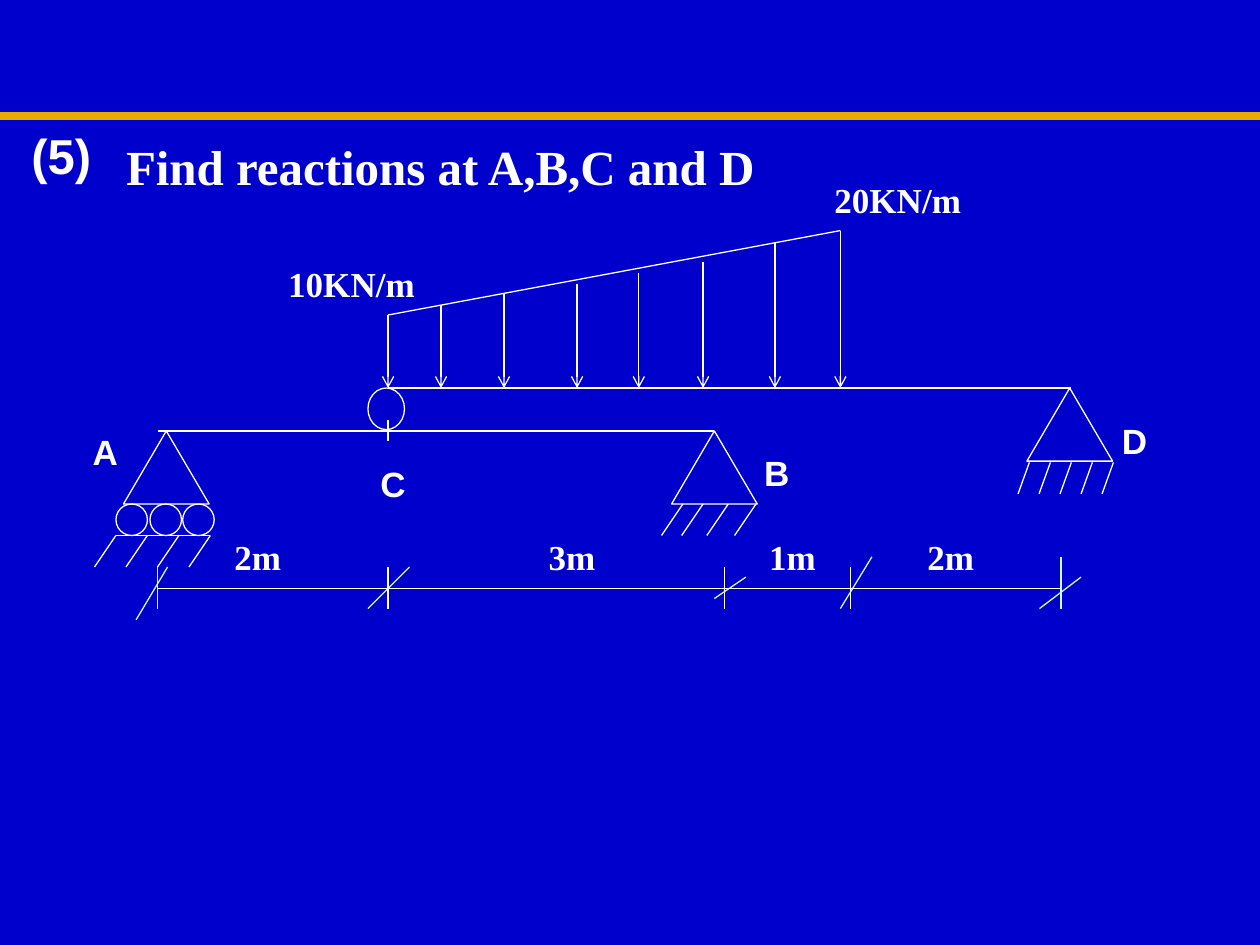
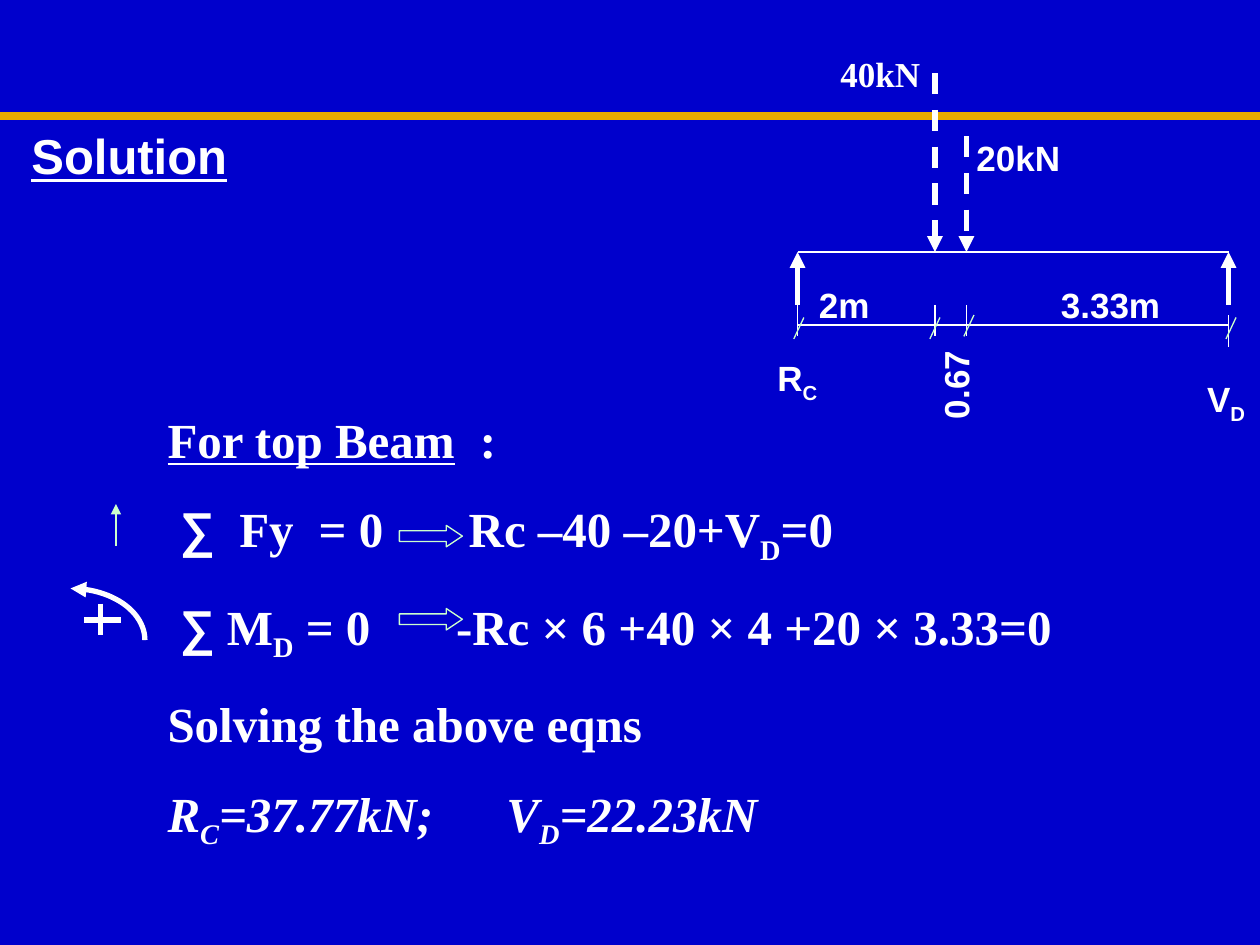
"""Build two statics slides: a loaded two-beam structure and the solution for its top beam."""
from math import cos, pi, sin

from lxml.etree import SubElement
from pptx import Presentation
from pptx.dml.color import RGBColor
from pptx.enum.dml import MSO_LINE_DASH_STYLE as Dash
from pptx.enum.shapes import MSO_CONNECTOR, MSO_SHAPE as Shape
from pptx.enum.text import PP_ALIGN as Align
from pptx.oxml.ns import qn
from pptx.util import Inches, Pt

BLUE = RGBColor(0x00, 0x00, 0xCC)
GOLD = RGBColor(0xE8, 0xAB, 0x00)
WHITE = RGBColor(0xFF, 0xFF, 0xFF)
MINT = RGBColor(0xCC, 0xFF, 0xCC)
SANS, SERIF = "Arial", "Times New Roman"
HEADING, LABEL = 28, 20
THIN, THICK = 0.75, 3

PROBLEM_NUMBER = "(5)"
PROBLEM = "Find reactions at A,B,C and D"
LOAD_LABELS = [("10KN/m", 2.08, 2.08, 1.42), ("20KN/m", 6.5, 1.42, 1.25)]
SPANS = [("2m", 1.42, 1.25), ("3m", 3.83, 1.42), ("1m", 5.83, 0.92), ("2m", 6.92, 1.25)]
SUPPORT_LABELS = [("A", 0.5, 3.42), ("B", 5.83, 3.58), ("C", 2.83, 3.67), ("D", 8.67, 3.33)]
BEAMS = [(1.25, 3.42, 5.67, 3.42), (3.08, 3.08, 8.5, 3.08)]
SUPPORTS = [(0.98, 3.42), (5.33, 3.42), (8.15, 3.08)]
LOAD_TOPS = [(3.08, 2.5), (3.5, 2.42), (4, 2.33), (4.58, 2.25),
             (5.07, 2.17), (5.58, 2.08), (6.15, 1.92), (6.67, 1.83)]
ROLLERS = [0.92, 1.19, 1.45]
HATCHINGS = [
    ([0.92 + 0.25 * i for i in range(4)], 4.25, 0.17),
    ([5.42, 5.58, 5.78, 6], 4, 0.17),
    ([8.17 + i / 6 for i in range(5)], 3.67, 0.09),
]
SPAN_LINE = 4.67
SPAN_ENDS = [(1.25, 4.5, MINT), (3.08, 4.5, WHITE), (5.75, 4.5, WHITE),
             (6.75, 4.5, WHITE), (8.42, 4.42, MINT)]
SPAN_SLASHES = [(1.33, 4.5, 1.08, 4.92), (3.25, 4.5, 2.92, 4.83), (5.92, 4.58, 5.67, 4.75),
                (6.92, 4.42, 6.67, 4.83), (8.58, 4.58, 8.25, 4.83)]

SOLUTION = [("Solution", "underline")]
WORKING = [
    ([("For top Beam", "underline"), ("\t:", "")], [2.48]),
    ([(" ", ""), ("∑", "sans"), ("\tFy\t= 0\tRc –40 –20+V", ""), ("D", "sub"), ("=0", "")],
     [0.57, 1.2, 2.39]),
    ([(" ", ""), ("∑", "sans"), (" M", ""), ("D", "sub"),
      (" = 0\t-Rc × 6 +40 × 4 +20 × 3.33=0", "")], [2.29]),
    ([("Solving the above eqns", "")], []),
    ([("R", "italic"), ("C", "italic sub"), ("=37.77kN;\tV", "italic"),
      ("D", "italic sub"), ("=22.23kN", "italic")], [2.69]),
]
FREE_BODY_LABELS = [
    ([("40kN", "")], 6.67, 0.42, 0.67, SERIF),
    ([("20kN", "")], 7.75, 1.08, 0.67, SANS),
    ([("2m", "")], 6.5, 2.25, 0.83, SANS),
    ([("3.33m", "")], 8.42, 2.25, 0.83, SANS),
    ([("R", ""), ("C", "sub")], 6.17, 2.83, 0.5, SANS),
    ([("V", ""), ("D", "sub")], 9.58, 3, 0.42, SANS),
]
TOP_BEAM, TOP_SPAN_LINE = 2, 2.58
LEFT_END, RIGHT_END = 6.33, 9.75
POINT_LOADS = [(7.42, 0.58), (7.67, 1.08)]
TOP_SPAN_ENDS = [(6.33, 2.42), (7.42, 2.42), (7.67, 2.42), (9.75, 2.5)]
TOP_SPAN_SLASHES = [(6.38, 2.52), (7.46, 2.52), (7.73, 2.5), (9.81, 2.52)]
IMPLIES = [4.17, 4.83]
MOMENT_CENTRE, MOMENT_RADII = (0.56, 5.08), (0.59, 0.41)
PLUS = [(0.8, 4.79, 0.8, 5.04), (0.67, 4.92, 0.96, 4.92)]


def add_arrowhead(outlined, end, kind):
    SubElement(outlined._element.spPr.find(qn("a:ln")), qn(f"a:{end}"), type=kind)


def add_line(slide, x1, y1, x2, y2, colour=WHITE, weight=THIN, arrow=None, dash=None):
    line = slide.shapes.add_connector(MSO_CONNECTOR.STRAIGHT, *map(Inches, (x1, y1, x2, y2)))
    line.line.color.rgb = colour
    line.line.width = Pt(weight)
    if dash:
        line.line.dash_style = dash
    if arrow:
        add_arrowhead(line, "tailEnd", arrow)
    SubElement(line._element.spPr, qn("a:effectLst"))


def outline(shape, colour=WHITE, weight=THIN):
    shape.shadow.inherit = False
    shape.fill.background()
    shape.line.color.rgb = colour
    shape.line.width = Pt(weight)
    return shape


def add_outlined(slide, preset, x, y, w, h, colour=WHITE):
    return outline(slide.shapes.add_shape(preset, *map(Inches, (x, y, w, h))), colour)


def add_text(slide, paragraphs, x, y, w, h, size, font, align=Align.LEFT):
    box = slide.shapes.add_textbox(*map(Inches, (x, y, w, h)))
    frame = box.text_frame
    frame.word_wrap = True
    frame.margin_left = frame.margin_right = frame.margin_top = frame.margin_bottom = 0
    for index, (pieces, stops) in enumerate(paragraphs):
        paragraph = frame.add_paragraph() if index else frame.paragraphs[0]
        paragraph.alignment = align
        if index:
            paragraph.space_before = Pt(17.5)
        if stops:
            tabs = SubElement(paragraph._p.get_or_add_pPr(), qn("a:tabLst"))
            for stop in stops:
                SubElement(tabs, qn("a:tab"), pos=str(Inches(stop)), algn="l")
        for words, style in pieces:
            run = paragraph.add_run()
            run.text = words
            run.font.size = Pt(size)
            run.font.name = SANS if "sans" in style else font
            run.font.bold = True
            run.font.color.rgb = WHITE
            run.font.italic = "italic" in style
            run.font.underline = "underline" in style
            if "sub" in style:
                run._r.get_or_add_rPr().set("baseline", "-25000")
    return box


def add_label(slide, words, x, y, w, font):
    add_text(slide, [([(words, "")], [])], x, y, w, 0.33, LABEL, font, Align.CENTER)


def add_banded_slide(deck, heading, heading_width):
    slide = deck.slides.add_slide(deck.slide_layouts[6])
    slide.background.fill.solid()
    slide.background.fill.fore_color.rgb = BLUE
    add_line(slide, 0, 0.92, 10, 0.92, GOLD, 4.5)
    add_text(slide, [(heading, [])], 0.25, 1, heading_width, 0.47, HEADING, SANS)
    return slide


def build_problem(deck):
    slide = add_banded_slide(deck, [(PROBLEM_NUMBER, "")], 1)
    add_text(slide, [([(PROBLEM, "")], [])], 1, 1.08, 5.08, 0.47, HEADING, SERIF)

    for beam in BEAMS:
        add_line(slide, *beam)
    for x, y in SUPPORTS:
        add_outlined(slide, Shape.ISOSCELES_TRIANGLE, x, y, 0.68, 0.58)
    for x in ROLLERS:
        add_outlined(slide, Shape.OVAL, x, 4, 0.25, 0.25)
    add_line(slide, 0.92, 4.25, 1.67, 4.25)
    for starts, y, lean in HATCHINGS:
        for x in starts:
            add_line(slide, x, y, x - lean, y + 0.25)
    add_outlined(slide, Shape.OVAL, 2.92, 3.08, 0.29, 0.33)
    add_line(slide, 3.08, 3.33, 3.08, 3.5)

    add_line(slide, *LOAD_TOPS[0], *LOAD_TOPS[-1])
    for x, top in LOAD_TOPS:
        add_line(slide, x, top, x, 3.08, arrow="arrow")

    add_line(slide, SPAN_ENDS[0][0], SPAN_LINE, SPAN_ENDS[-1][0], SPAN_LINE)
    for x, top, colour in SPAN_ENDS:
        add_line(slide, x, top, x, 4.83, colour)
    for slash in SPAN_SLASHES:
        add_line(slide, *slash, MINT)

    for words, x, y, w in LOAD_LABELS:
        add_label(slide, words, x, y, w, SERIF)
    for words, x, w in SPANS:
        add_label(slide, words, x, 4.25, w, SERIF)
    for words, x, y in SUPPORT_LABELS:
        add_label(slide, words, x, y, 0.58 if words == "C" else 0.67, SANS)


def add_moment_arrow(slide):
    (cx, cy), (rx, ry) = MOMENT_CENTRE, MOMENT_RADII
    steps = 24
    angles = [pi / 2 * i / steps for i in range(steps + 1)]
    points = [(Inches(cx + rx * sin(a)), Inches(cy - ry * cos(a))) for a in angles]
    builder = slide.shapes.build_freeform(*points[0])
    builder.add_line_segments(points[1:], close=False)
    add_arrowhead(outline(builder.convert_to_shape(), weight=THICK), "headEnd", "triangle")
    for stroke in PLUS:
        add_line(slide, *stroke, weight=THICK)


def build_solution(deck):
    slide = add_banded_slide(deck, SOLUTION, 1.67)
    add_text(slide, WORKING, 1.33, 3.25, 7.33, 3.6, HEADING, SERIF)

    for y in (TOP_BEAM, TOP_SPAN_LINE):
        add_line(slide, LEFT_END, y, RIGHT_END, y)
    for x, top in POINT_LOADS:
        add_line(slide, x, top, x, TOP_BEAM, weight=THICK, arrow="triangle", dash=Dash.DASH)
    for x in (LEFT_END, RIGHT_END):
        add_line(slide, x, 2.42, x, TOP_BEAM, weight=THICK, arrow="triangle")
    for x, top in TOP_SPAN_ENDS:
        add_line(slide, x, top, x, top + 0.25)
    for x, top in TOP_SPAN_SLASHES:
        add_line(slide, x, top, x - 0.08, top + 0.17, MINT)

    for pieces, x, y, w, font in FREE_BODY_LABELS:
        add_text(slide, [(pieces, [])], x, y, w, 0.33, LABEL, font)
    offset = add_text(slide, [([("0.67", "")], [])], 7.29, 2.87, 0.58, 0.33, LABEL, SANS)
    offset.rotation = 270

    add_moment_arrow(slide)
    add_line(slide, 0.92, 4.33, 0.92, 4, MINT, arrow="triangle")
    for y in IMPLIES:
        arrow = add_outlined(slide, Shape.RIGHT_ARROW, 3.17, y, 0.5, 0.17, MINT)
        arrow.adjustments[1] = 0.75


def main():
    deck = Presentation()
    deck.slide_width, deck.slide_height = Inches(10), Inches(7.5)
    build_problem(deck)
    build_solution(deck)
    deck.save("out.pptx")


if __name__ == "__main__":
    main()
